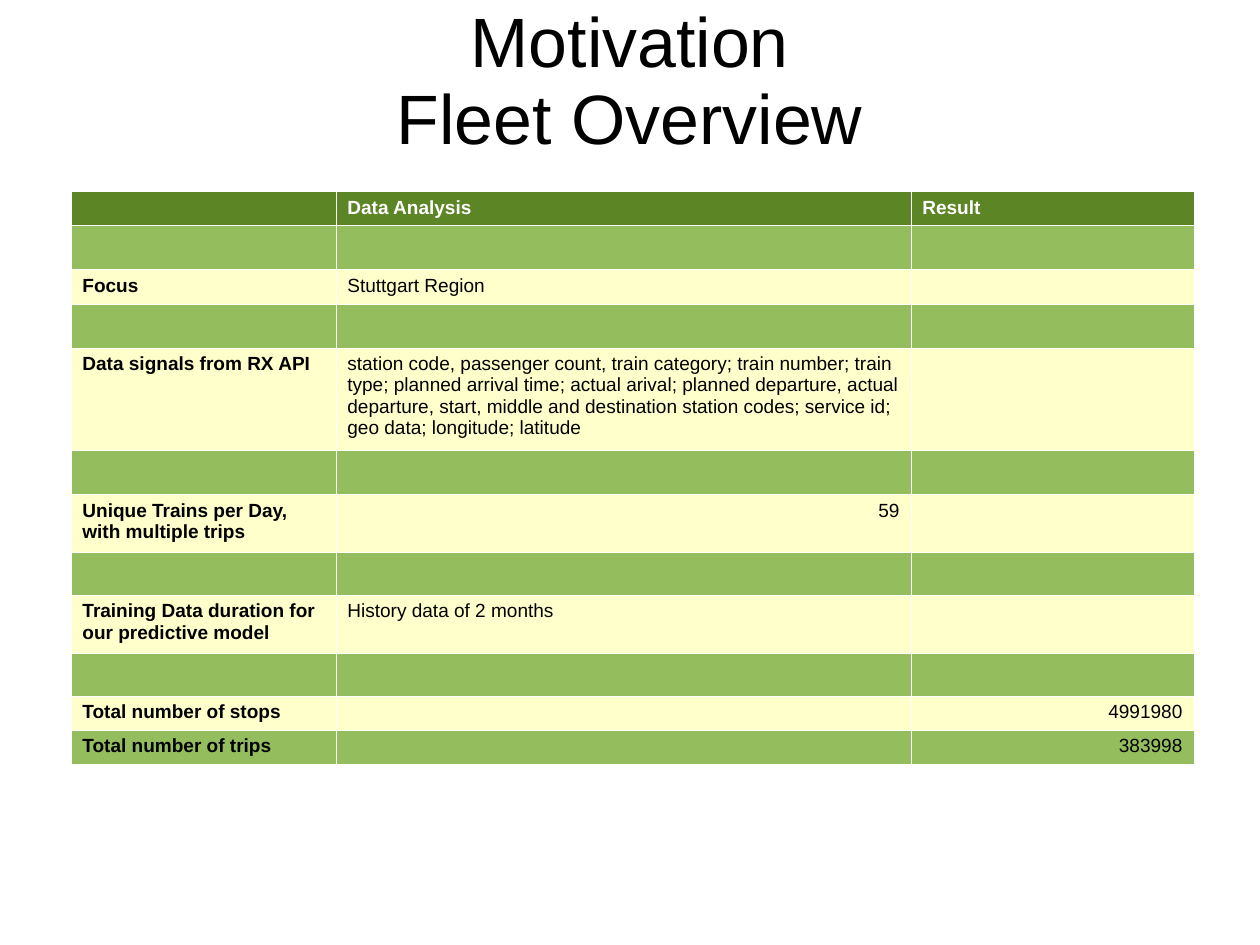
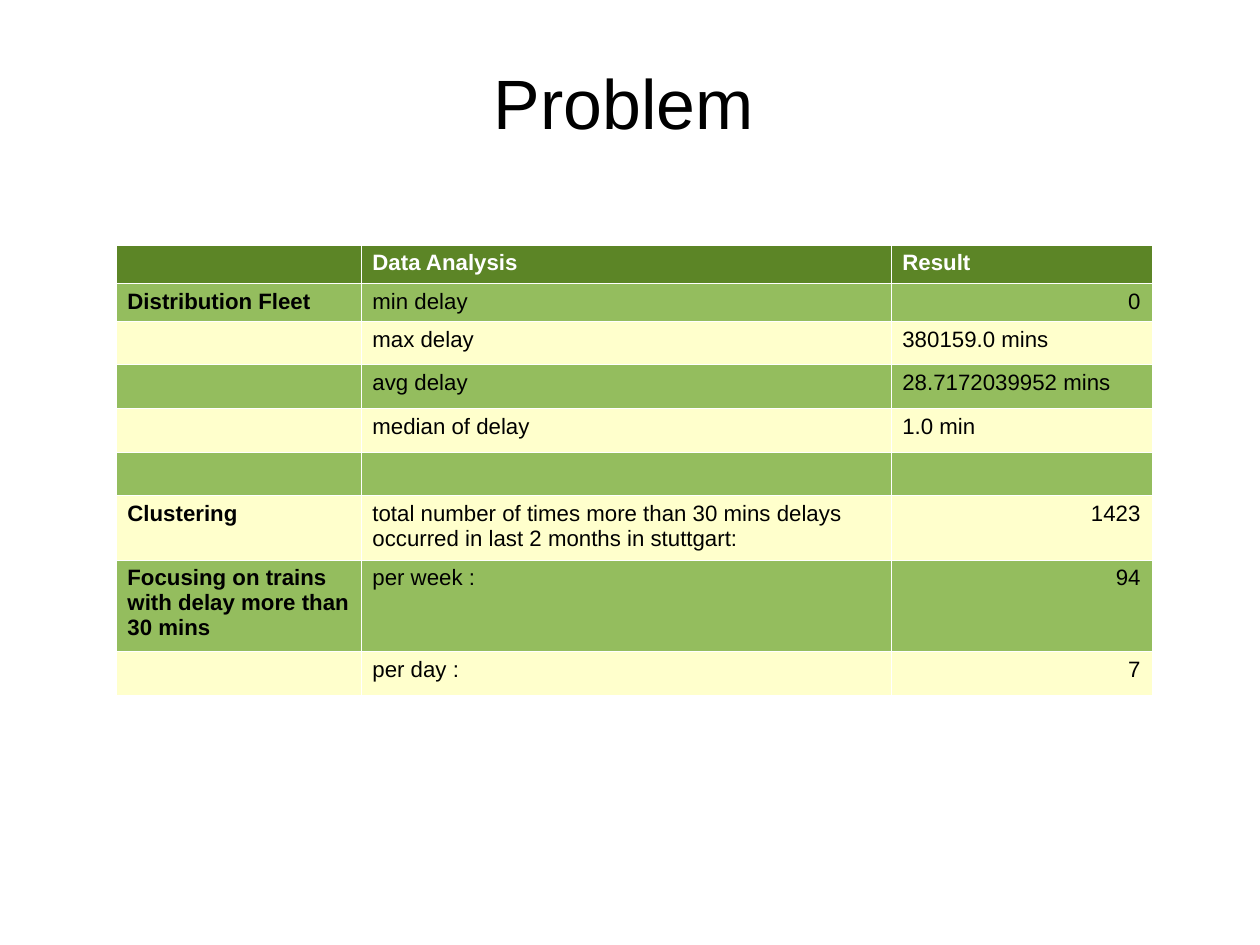
from lxml.etree import SubElement
from pptx import Presentation
from pptx.dml.color import RGBColor
from pptx.enum.text import MSO_ANCHOR, PP_ALIGN
from pptx.oxml import parse_xml
from pptx.oxml.ns import nsdecls, qn
from pptx.util import Emu, Pt

BLACK = RGBColor(0x00, 0x00, 0x00)
WHITE = RGBColor(0xFF, 0xFF, 0xFF)
DARK_GREEN = RGBColor(0x5C, 0x85, 0x26)
GREEN = RGBColor(0x94, 0xBD, 0x5E)
CREAM = RGBColor(0xFF, 0xFF, 0xCC)
FONT = "Arial"
BORDER = Pt(0.06)
EDGES = ("lnL", "lnR", "lnT", "lnB")
HEADER = ("", "Data Analysis", "Result")
EMPTY = ("", "", "")

FLEET_ROWS = [
    (34, HEADER),
    (44, EMPTY),
    (34, ("Focus", "Stuttgart Region", "")),
    (44, EMPTY),
    (103, ("Data signals from RX API",
           "station code, passenger count, train category; train number; "
           "train type; planned arrival time; actual arival; planned "
           "departure, actual departure, start, middle and destination "
           "station codes; service id; geo data; longitude; latitude", "")),
    (44, EMPTY),
    (57, ("Unique Trains per Day, with multiple trips", "59", "")),
    (43, EMPTY),
    (58, ("Training Data duration for our predictive model",
          "History data of 2 months", "")),
    (43, EMPTY),
    (34, ("Total number of stops", "", "4991980")),
    (34, ("Total number of trips", "", "383998")),
]
DELAY_ROWS = [
    (37, HEADER),
    (37, ("Distribution Fleet", "min delay", "0")),
    (43, ("", "max delay", "380159.0 mins")),
    (44, ("", "avg delay", "28.7172039952 mins")),
    (44, ("", "median of delay", "1.0 min")),
    (43, EMPTY),
    (62, ("Clustering",
          "total number of times more than 30 mins delays occurred in "
          "last 2 months in stuttgart:", "1423")),
    (86, ("Focusing on trains with delay more than 30 mins",
          "per week :", "94")),
    (44, ("", "per day :", "7")),
]


def px(n):
    return Emu(n * 8000)


def set_attrs(obj, values):
    for name, value in values.items():
        setattr(obj, name, value)


def write(p, text, size, color=BLACK, bold=False, align=PP_ALIGN.LEFT):
    p.alignment = align
    if not text:
        SubElement(p._p, qn("a:endParaRPr"), sz=str(size * 100))
        return
    r = p.add_run()
    r.text = text
    set_attrs(r.font, {"name": FONT, "size": Pt(size), "bold": bold})
    r.font.color.rgb = color


def add_title(s, text, left, top):
    tf = s.shapes.add_textbox(px(left), px(top), px(1134), px(158)).text_frame
    set_attrs(tf, {"word_wrap": True, "vertical_anchor": MSO_ANCHOR.MIDDLE,
                   "margin_left": 0, "margin_right": 0,
                   "margin_top": 0, "margin_bottom": 0})
    write(tf.paragraphs[0], text, 44, align=PP_ALIGN.CENTER)


def add_borders(cell):
    tc_pr = cell._tc.get_or_add_tcPr()
    for i, edge in enumerate(EDGES):
        tc_pr.insert(i, parse_xml(
            f'<a:{edge} {nsdecls("a")} w="{BORDER}"><a:solidFill>'
            f'<a:srgbClr val="{WHITE}"/></a:solidFill></a:{edge}>'))


def fill_cell(cell, text, size, row, col):
    header = row == 0
    cell.fill.solid()
    cell.fill.fore_color.rgb = (
        DARK_GREEN if header else GREEN if row % 2 else CREAM)
    add_borders(cell)
    write(cell.text_frame.paragraphs[0], text, size,
          color=WHITE if header else BLACK,
          bold=header or col == 0,
          align=PP_ALIGN.RIGHT if text.isdigit() else PP_ALIGN.LEFT)


def add_data_table(s, left, top, widths, rows, size):
    height = sum(h for h, _ in rows)
    table = s.shapes.add_table(len(rows), len(widths), px(left), px(top),
                               px(sum(widths)), px(height)).table
    set_attrs(table, {"first_row": False, "horz_banding": False})
    for column, width in zip(table.columns, widths):
        column.width = px(width)
    for i, (row_height, texts) in enumerate(rows):
        table.rows[i].height = px(row_height)
        for j, text in enumerate(texts):
            fill_cell(table.cell(i, j), text, size, i, j)


def main():
    prs = Presentation()
    set_attrs(prs, {"slide_width": px(1260), "slide_height": px(945)})
    blank = prs.slide_layouts[6]

    s = prs.slides.add_slide(blank)
    add_title(s, "Fleet Overview", 63, 38)
    add_data_table(s, 71, 191, (265, 575, 283), FLEET_ROWS, 12)
    add_title(s, "Motivation", 63, -39)

    s = prs.slides.add_slide(blank)
    add_data_table(s, 116, 245, (245, 530, 261), DELAY_ROWS, 14)
    add_title(s, "Problem", 57, 23)

    prs.save("out.pptx")


if __name__ == "__main__":
    main()
